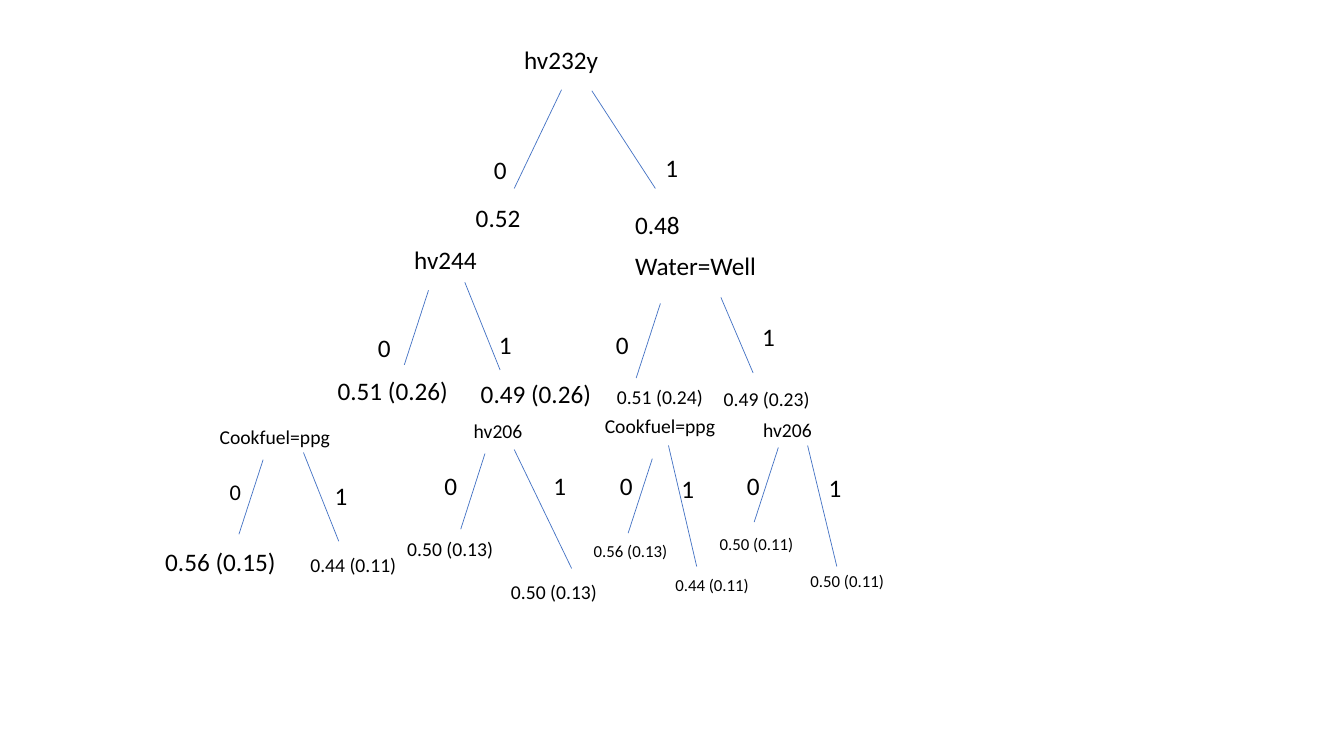
from dataclasses import dataclass

import lxml.etree
import pptx
import pptx.dml.color
import pptx.enum.shapes
import pptx.enum.text
import pptx.oxml.ns
import pptx.util

Inches = pptx.util.Inches
BLACK = pptx.dml.color.RGBColor(0x00, 0x00, 0x00)
BLUE = pptx.dml.color.RGBColor(0x44, 0x72, 0xC4)
FONT = "Calibri"
LINE_HEIGHTS = {18: 0.4, 16: 0.37, 14: 0.34, 12: 0.3}
ANSWER_WIDTH = 0.36


@dataclass
class Branch:
    answer_at: tuple
    start: tuple
    end: tuple
    value: str
    value_at: tuple
    value_width: float = 1.36
    value_size: int = 18
    answer_size: int = 18


@dataclass
class Split:
    label: str
    box: tuple
    size: int
    branches: tuple


TREE = (
    Split("hv232y", (5.1, 0.39, 1.57), 18, (
        Branch((-0.3, 1.09), (0.47, 0.5), (0, 1.48), "0.52", (-0.48, 1.57), 0.71),
        Branch((1.4, 1.07), (0.77, 0.51), (1.4, 1.48), "0.48", (1.1, 1.64), 0.71),
    )),
    Split("hv244", (4.01, 2.37, 1.57), 18, (
        Branch((-0.36, 0.88), (0.24, 0.51), (0, 1.25), "0.51 (0.26)", (-0.76, 1.3)),
        Branch((0.84, 0.85), (0.6, 0.43), (0.95, 1.3), "0.49 (0.26)", (0.66, 1.33)),
    )),
    Split("Water=Well", (6.2, 2.43, 1.57), 18, (
        Branch((-0.19, 0.79), (0.35, 0.58), (0.11, 1.32), "0.51 (0.24)", (-0.18, 1.34), 1.13, 14),
        Branch((1.26, 0.71), (0.95, 0.52), (1.27, 1.27), "0.49 (0.23)", (0.88, 1.36), 1.13, 14),
    )),
    Split("Cookfuel=ppg", (2.08, 4.17, 1.36), 14, (
        Branch((0.1, 0.52), (0.53, 0.39), (0.29, 1.13), "0.56 (0.15)", (-0.54, 1.2), answer_size=16),
        Branch((1.14, 0.55), (0.93, 0.32), (1.28, 1.2), "0.44 (0.11)", (0.9, 1.27), 1.36, 14),
    )),
    Split("hv206", (4.6, 4.11, 1.36), 14, (
        Branch((-0.29, 0.51), (0.21, 0.39), (-0.03, 1.14), "0.50 (0.13)", (-0.66, 1.17), 1.18, 14),
        Branch((0.79, 0.51), (0.5, 0.35), (1.07, 1.53), "0.50 (0.13)", (0.37, 1.59), 1.36, 14),
    )),
    Split("Cookfuel=ppg", (5.9, 4.06, 1.36), 14, (
        Branch((0.15, 0.56), (0.57, 0.49), (0.33, 1.23), "0.56 (0.13)", (-0.11, 1.26), 1.04, 12),
        Branch((0.76, 0.59), (0.73, 0.36), (1.01, 1.56), "0.44 (0.11)", (0.7, 1.59), 1.04, 12),
    )),
    Split("hv206", (7.47, 4.1, 0.75), 14, (
        Branch((-0.16, 0.52), (0.25, 0.34), (0.01, 1.08), "0.50 (0.11)", (-0.43, 1.15), 1.04, 12),
        Branch((0.65, 0.54), (0.54, 0.32), (0.83, 1.52), "0.50 (0.11)", (0.47, 1.51), 1.04, 12),
    )),
)


def add_text(page, text, left, top, width, size):
    box = page.shapes.add_textbox(
        Inches(left), Inches(top), Inches(width), Inches(LINE_HEIGHTS[size]))
    frame = box.text_frame
    frame.word_wrap = True
    frame.auto_size = pptx.enum.text.MSO_AUTO_SIZE.SHAPE_TO_FIT_TEXT
    span = frame.paragraphs[0].add_run()
    span.text = text
    span.font.name = FONT
    span.font.size = pptx.util.Pt(size)
    span.font.color.rgb = BLACK


def add_edge(page, left, top, start, end):
    edge = page.shapes.add_connector(
        pptx.enum.shapes.MSO_CONNECTOR.STRAIGHT,
        Inches(left + start[0]), Inches(top + start[1]),
        Inches(left + end[0]), Inches(top + end[1]))
    edge.line.color.rgb = BLUE
    edge.line.width = pptx.util.Pt(0.5)
    lxml.etree.SubElement(edge._element.spPr, pptx.oxml.ns.qn("a:effectLst"))


def add_split(page, split):
    left, top, width = split.box
    add_text(page, split.label, left, top, width, split.size)
    for answer, branch in enumerate(split.branches):
        add_edge(page, left, top, branch.start, branch.end)
        across, down = branch.answer_at
        add_text(page, str(answer), left + across, top + down,
                 ANSWER_WIDTH, branch.answer_size)
        across, down = branch.value_at
        add_text(page, branch.value, left + across, top + down,
                 branch.value_width, branch.value_size)


def main():
    deck = pptx.Presentation()
    deck.slide_width = Inches(13.33)
    deck.slide_height = Inches(7.5)
    page = deck.slides.add_slide(deck.slide_layouts[6])
    for split in TREE:
        add_split(page, split)
    deck.save("out.pptx")


if __name__ == "__main__":
    main()
